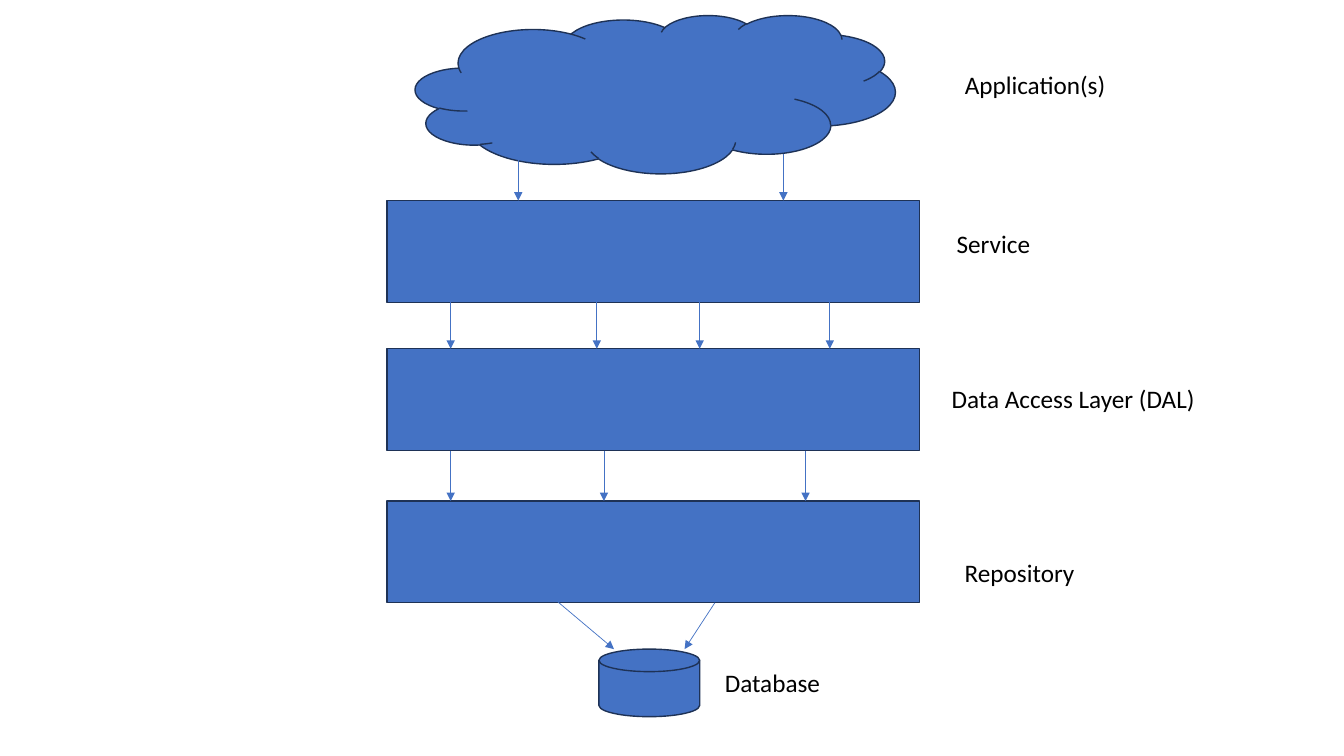
from dataclasses import dataclass

from lxml.etree import SubElement
from pptx import Presentation
from pptx.dml.color import RGBColor
from pptx.enum.shapes import MSO_CONNECTOR, MSO_SHAPE
from pptx.enum.text import MSO_AUTO_SIZE
from pptx.oxml.ns import qn
from pptx.slide import Slide
from pptx.util import Emu, Pt

PX = 9144  # EMU per px, 100 px to the inch


@dataclass(frozen=True)
class Theme:
    fill: RGBColor = RGBColor(0x44, 0x72, 0xC4)
    outline: RGBColor = RGBColor(0x1E, 0x32, 0x56)
    text: RGBColor = RGBColor(0, 0, 0)
    font: str = "Calibri"
    size: Pt = Pt(18)
    outline_width: Pt = Pt(1)
    arrow_width: Pt = Pt(0.5)


@dataclass(frozen=True)
class Block:
    kind: MSO_SHAPE
    x: int
    y: int
    w: int
    h: int


@dataclass(frozen=True)
class Label:
    text: str
    x: int
    y: int
    w: int
    wrap: bool = False


@dataclass(frozen=True)
class Arrow:
    x1: int
    y1: int
    x2: int
    y2: int


THEME = Theme()

# Layers, top to bottom
LAYER_X, LAYER_W, LAYER_H = 384, 528, 101
SERVICE_Y, DAL_Y, REPOSITORY_Y = 199, 346, 497
DATABASE_Y = 644
LABEL_H = 40

BLOCKS = [
    Block(MSO_SHAPE.CLOUD, 412, 15, 476, 157),
    *(Block(MSO_SHAPE.RECTANGLE, LAYER_X, y, LAYER_W, LAYER_H)
      for y in (SERVICE_Y, DAL_Y, REPOSITORY_Y)),
    Block(MSO_SHAPE.FLOWCHART_MAGNETIC_DISK, 594, DATABASE_Y, 100, 67),
]

LABELS = [
    Label("Application(s)", 947, 64, 161),
    Label("Service", 939, 222, 94),
    Label("Data Access Layer (DAL)", 934, 375, 264),
    Label("Repository", 947, 548, 130),
    Label("Database", 709, 657, 148, wrap=True),
]

# Calls from each layer to the one below
ARROWS = [
    Arrow(514, 154, 514, SERVICE_Y),
    Arrow(777, 153, 777, SERVICE_Y),
    *(Arrow(x, SERVICE_Y + LAYER_H, x, DAL_Y) for x in (447, 592, 694, 823)),
    *(Arrow(x, DAL_Y + LAYER_H, x, REPOSITORY_Y) for x in (447, 599, 799)),
    Arrow(514, 564, 609, DATABASE_Y),
    Arrow(709, REPOSITORY_Y + LAYER_H, 679, DATABASE_Y),
]


def px(n: int) -> Emu:
    return Emu(n * PX)


def add_block(s: Slide, b: Block) -> None:
    sp = s.shapes.add_shape(b.kind, px(b.x), px(b.y), px(b.w), px(b.h))
    sp.shadow.inherit = False
    sp.fill.solid()
    sp.fill.fore_color.rgb = THEME.fill
    sp.line.color.rgb = THEME.outline
    sp.line.width = THEME.outline_width


def add_label(s: Slide, label: Label) -> None:
    sp = s.shapes.add_textbox(px(label.x), px(label.y), px(label.w), px(LABEL_H))
    tf = sp.text_frame
    tf.word_wrap = label.wrap
    tf.auto_size = MSO_AUTO_SIZE.SHAPE_TO_FIT_TEXT
    r = tf.paragraphs[0].add_run()
    r.text = label.text
    r.font.name = THEME.font
    r.font.size = THEME.size
    r.font.color.rgb = THEME.text


def add_arrow(s: Slide, a: Arrow) -> None:
    cxn = s.shapes.add_connector(
        MSO_CONNECTOR.STRAIGHT, px(a.x1), px(a.y1), px(a.x2), px(a.y2))
    cxn.line.color.rgb = THEME.fill
    cxn.line.width = THEME.arrow_width
    sp_pr = cxn._element.spPr
    SubElement(sp_pr.find(qn("a:ln")), qn("a:tailEnd"), type="triangle")
    SubElement(sp_pr, qn("a:effectLst"))


def main() -> None:
    prs = Presentation()
    prs.slide_width, prs.slide_height = px(1333), px(750)
    s = prs.slides.add_slide(prs.slide_layouts[6])
    for block in BLOCKS:
        add_block(s, block)
    for arrow in ARROWS:
        add_arrow(s, arrow)
    for label in LABELS:
        add_label(s, label)
    prs.save("out.pptx")


if __name__ == "__main__":
    main()
